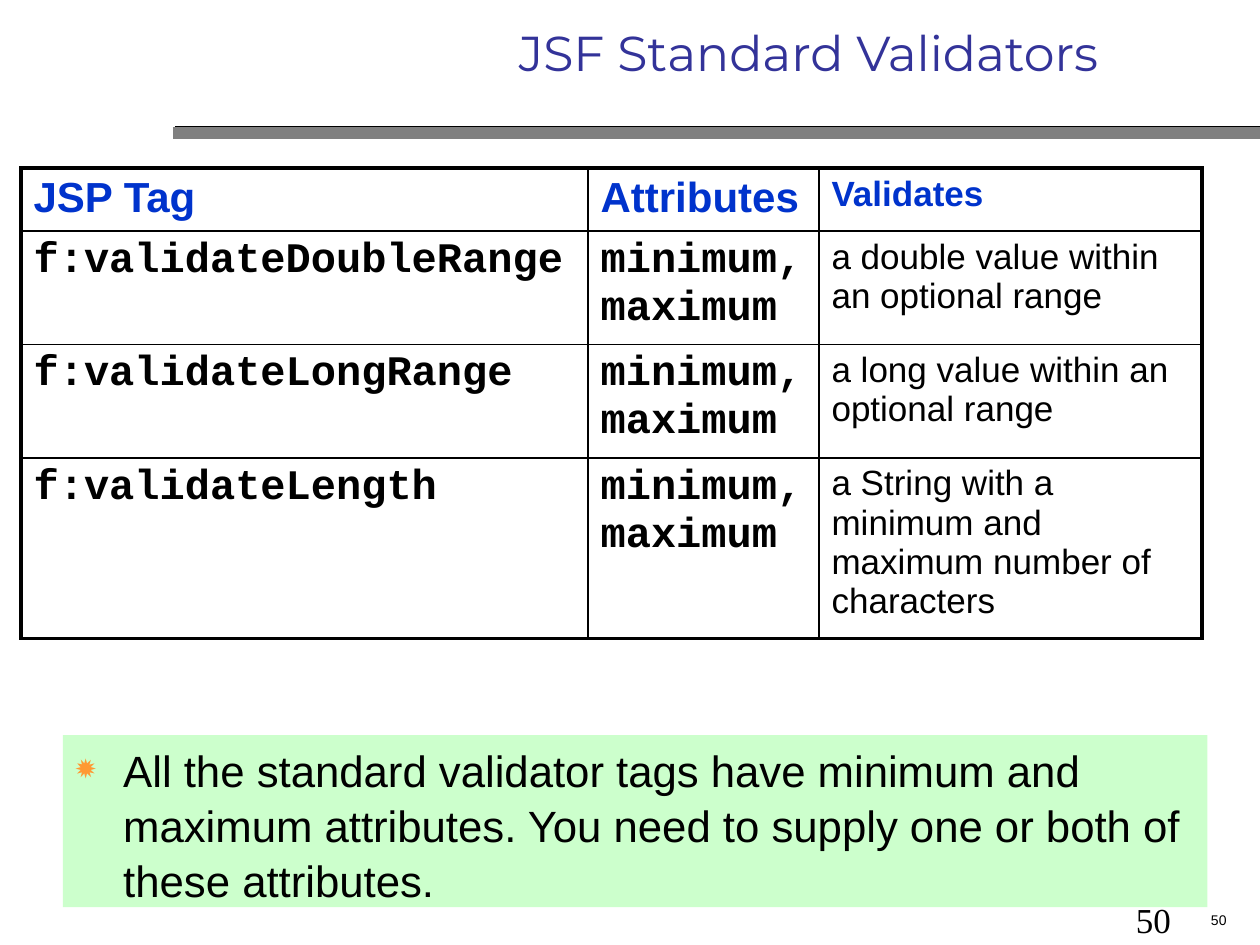
from lxml.etree import SubElement
from pptx import Presentation
from pptx.dml.color import RGBColor
from pptx.enum.shapes import MSO_CONNECTOR, MSO_SHAPE
from pptx.enum.text import MSO_ANCHOR, PP_ALIGN
from pptx.oxml import parse_xml
from pptx.oxml.ns import nsdecls, qn
from pptx.util import Inches, Pt

COLORS = {
    "ink": "000000", "title": "333399", "head": "0033CC", "rule": "808080",
    "note": "CCFFCC", "bullet": "FF9933", "paper": "FFFFFF",
}
UNIT = Inches(1) / 12  # the slide is a grid of 120 columns by 90 rows
THIN, THICK = 1, 2.25

COLS = [54, 22, 36.5]
ROWS = [5.2, 8.8, 9.5, 8.5]
LIMITS = "minimum, maximum"
CELLS = [
    ["JSP Tag", "Attributes", "Validates"],
    ["f:validateDoubleRange", LIMITS, "a double value within an optional range"],
    ["f:validateLongRange", LIMITS, "a long value within an optional range"],
    ["f:validateLength", LIMITS,
     "a String with a minimum and maximum number of characters"],
]
NOTE = ("All the standard validator tags have minimum and maximum attributes. "
        "You need to supply one or both of these attributes.")


def grid(*units):
    return [round(unit * UNIT) for unit in units]


def color(name):
    return RGBColor.from_string(COLORS[name])


class Deck:
    def __init__(self):
        self.show = Presentation()
        self.show.slide_width, self.show.slide_height = grid(120, 90)
        self.slide = self.show.slides.add_slide(self.show.slide_layouts[6])
        self.shapes = self.slide.shapes

    def fill_text(self, frame, text, size, font="Arial", ink="ink", bold=False,
                  align=PP_ALIGN.LEFT, anchor=MSO_ANCHOR.TOP, spacing=None):
        frame.word_wrap = True
        frame.vertical_anchor = anchor
        frame.text = text
        par = frame.paragraphs[0]
        par.alignment = align
        if spacing:
            par.line_spacing = spacing
        face = par.runs[0].font
        face.name, face.size, face.bold = font, Pt(size), bold
        face.color.rgb = color(ink)

    def text(self, box, text, size, **style):
        self.fill_text(self.shapes.add_textbox(*grid(*box)).text_frame,
                       text, size, **style)

    def rule(self, left, top, right, width):
        """Draw a level line with a hard shadow up and to the right."""
        line = self.shapes.add_connector(
            MSO_CONNECTOR.STRAIGHT, *grid(left, top, right, top))
        line.line.color.rgb = color("rule")
        line.line.width = Pt(width)
        line._element.spPr.append(parse_xml(
            f'<a:effectLst {nsdecls("a")}><a:outerShdw dist="{Pt(1.4)}" '
            f'dir="{315 * 60000}"><a:srgbClr val="{COLORS["ink"]}"/>'
            '</a:outerShdw></a:effectLst>'))

    def note(self, box, text, size):
        """Draw a filled panel with one bulleted paragraph."""
        panel = self.shapes.add_shape(MSO_SHAPE.RECTANGLE, *grid(*box))
        panel.shadow.inherit = False
        panel.fill.solid()
        panel.fill.fore_color.rgb = color("note")
        panel.line.fill.background()
        self.fill_text(panel.text_frame, text, size, spacing=1.05)
        props = panel.text_frame.paragraphs[0]._p.get_or_add_pPr()
        indent = Inches(0.38)
        props.set("marL", str(indent))
        props.set("indent", str(-indent))
        tint = SubElement(props, qn("a:buClr"))
        SubElement(tint, qn("a:srgbClr"), val=COLORS["bullet"])
        SubElement(props, qn("a:buSzPct"), val="80000")
        SubElement(props, qn("a:buChar"), char="✹")

    def border(self, cell, widths):
        props = cell._tc.get_or_add_tcPr()
        for spot, (side, width) in enumerate(widths.items()):
            props.insert(spot, parse_xml(
                f'<a:ln{side} {nsdecls("a")} w="{Pt(width)}"><a:solidFill>'
                f'<a:srgbClr val="{COLORS["ink"]}"/></a:solidFill></a:ln{side}>'))

    def table(self, box, cells, cols, rows):
        table = self.shapes.add_table(len(rows), len(cols), *grid(*box)).table
        for col, width in zip(table.columns, grid(*cols)):
            col.width = width
        for row, height in zip(table.rows, grid(*rows)):
            row.height = height
        end, base = len(cols) - 1, len(rows) - 1
        for y, line in enumerate(cells):
            for x, text in enumerate(line):
                cell = table.cell(y, x)
                cell.fill.solid()
                cell.fill.fore_color.rgb = color("paper")
                head, last = y == 0, x == end
                self.fill_text(cell.text_frame, text, 20 if last else 24,
                               font="Arial" if head or last else "Courier New",
                               ink="head" if head else "ink",
                               bold=head or not last)
                edges = {"L": x == 0, "R": last, "T": head, "B": y == base}
                self.border(cell, {side: THICK if outer else THIN
                                   for side, outer in edges.items()})

    def save(self):
        self.show.save("out.pptx")


def main():
    deck = Deck()
    deck.rule(16.5, 12.7, 120, 7)
    deck.text((107, 85, 11, 5), "50", 20, font="Times New Roman")
    deck.text((34, 0, 86, 11), "JSF Standard Validators", 28,
              font="Montserrat", ink="title", align=PP_ALIGN.CENTER,
              anchor=MSO_ANCHOR.MIDDLE, spacing=0.8)
    deck.table((2, 16, sum(COLS), sum(ROWS)), CELLS, COLS, ROWS)
    deck.note((6, 70, 109, 16.4), NOTE, 25)
    deck.text((93, 86, 25, 3), "50", 8, align=PP_ALIGN.RIGHT,
              anchor=MSO_ANCHOR.BOTTOM)
    deck.save()


if __name__ == "__main__":
    main()
